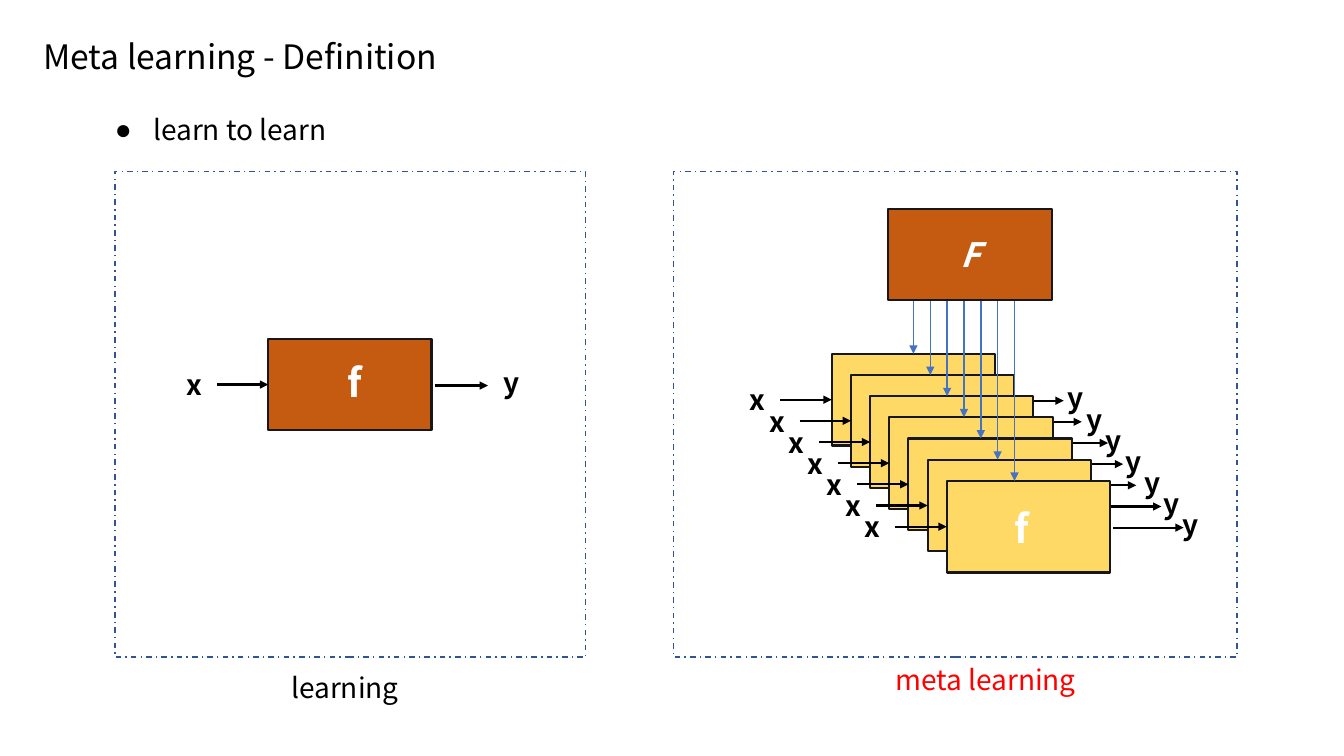
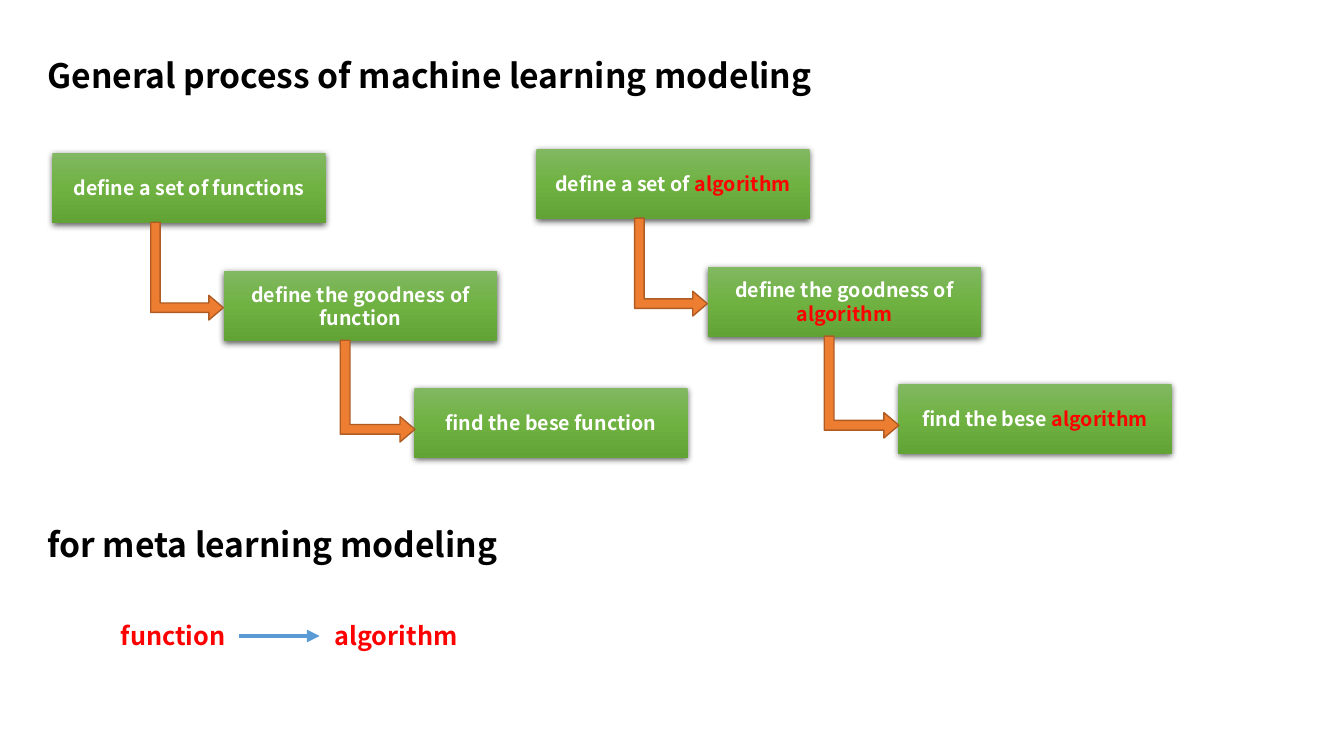
from dataclasses import dataclass

from pptx import Presentation
from pptx.dml.color import RGBColor
from pptx.enum.dml import MSO_LINE as Dash
from pptx.enum.shapes import MSO_CONNECTOR as Link, MSO_SHAPE as Form
from pptx.enum.text import MSO_ANCHOR as Anchor, MSO_AUTO_SIZE as Auto, PP_ALIGN as Align
from pptx.oxml import parse_xml
from pptx.oxml.ns import nsdecls, qn
from pptx.util import Inches, Pt

CELL = Inches(0.1)
SANS, MATH = "Noto Sans CJK SC", "Noto Sans CJK KR"
BLACK, WHITE, RED = "000000", "FFFFFF", "FF0000"
RUST, GOLD, EDGE = "C55A11", "FFD966", "181717"
BLUE, SKY, NAVY = "4472C4", "5B9BD5", "325491"
AMBER, BROWN = "ED7D31", "AF5C24"
GREENS = ((0, "81B861"), (50, "6FB242"), (100, "62A336"))
BOX_W, BOX_H = 16.2, 9.1
STEP_W, STEP_H = 27.1, 6.9


@dataclass(frozen=True)
class Area:
    col: float
    row: float
    wide: float
    high: float

    def emu(self) -> list[int]:
        return [grid(n) for n in (self.col, self.row, self.wide, self.high)]


@dataclass(frozen=True)
class Style:
    size: float
    color: str = BLACK
    bold: bool = False
    italic: bool = False
    font: str = SANS
    align: Align = Align.LEFT


@dataclass(frozen=True)
class Model:
    col: float
    row: float
    fill: str
    end: float


@dataclass(frozen=True)
class Step:
    col: float
    row: float
    head: str
    tail: str


@dataclass(frozen=True)
class Flow:
    col: float
    row: float
    word: str
    tint: str


HEAD = Style(24, bold=True)
PLAIN = Style(20)
SIGN = Style(20, bold=True)
MARK = Style(28, WHITE, True)
TERM = Style(18, RED, True)
NOTE = Style(14, WHITE, True, align=Align.CENTER)
ENDS = (105.5, 107.3, 109.9, 111.4, 112.7, 115.2, 117.4)
STACK = [Model(82.5 + 1.9 * i, 35.1 + 2.1 * i, GOLD, end) for i, end in enumerate(ENDS)]
SOLO = Model(26.6, 33.6, RUST, 48.4)
STEPS = (
    Step(0, 0, "define a set of ", "s"),
    Step(17, 11.7, "define the goodness of ", ""),
    Step(35.9, 23.3, "find the bese ", ""),
)
BENDS = (Area(8.5, 8.1, 9.7, 7.2), Area(27.2, 19.9, 10.1, 7.4))
FLOWS = (Flow(5.2, 15.2, "function", WHITE), Flow(53.2, 14.8, "algorithm", RED))


def grid(n: float) -> int:
    return round(n * CELL)


def rgb(code: str) -> RGBColor:
    return RGBColor.from_string(code)


def paint(run, style: Style, color: str = "") -> None:
    font = run.font
    font.name, font.size = style.font, Pt(style.size)
    font.bold, font.italic = style.bold, style.italic
    font.color.rgb = rgb(color or style.color)


def write(shape, text: str, style: Style, anchor: Anchor = Anchor.TOP):
    frame = shape.text_frame
    frame.text = text
    frame.word_wrap = True
    frame.auto_size = Auto.NONE
    frame.vertical_anchor = anchor
    para = frame.paragraphs[0]
    para.alignment = style.align
    para.line_spacing = Pt(style.size * 1.2)
    para.space_before = Pt(0)
    for run in para.runs:
        paint(run, style)
    return para


def place(holder, area: Area) -> None:
    holder.left, holder.top, holder.width, holder.height = area.emu()


def title(slide, text: str, area: Area, style: Style) -> None:
    place(slide.shapes.title, area)
    write(slide.shapes.title, text, style, Anchor.MIDDLE)


def label(slide, text: str, area: Area, style: Style) -> None:
    write(slide.shapes.add_textbox(*area.emu()), text, style)


def block(slide, area: Area, fill: str = "", line: str = "", width: float = 1.5, form: Form = Form.RECTANGLE):
    shape = slide.shapes.add_shape(form, *area.emu())
    shape.shadow.inherit = False
    if fill:
        shape.fill.solid()
        shape.fill.fore_color.rgb = rgb(fill)
    else:
        shape.fill.background()
    if line:
        shape.line.color.rgb = rgb(line)
        shape.line.width = Pt(width)
    else:
        shape.line.fill.background()
    return shape


def arrow(slide, x: float, y: float, to_x: float, to_y: float, color: str = BLACK, width: float = 1.5) -> None:
    link = slide.shapes.add_connector(Link.STRAIGHT, grid(x), grid(y), grid(to_x), grid(to_y))
    link.line.color.rgb = rgb(color)
    link.line.width = Pt(width)
    line = link.line._get_or_add_ln()
    line.append(parse_xml(f'<a:tailEnd {nsdecls("a")} type="triangle"/>'))
    link._element.spPr.append(parse_xml(f'<a:effectLst {nsdecls("a")}/>'))


def bullet(para) -> None:
    props = para._p.get_or_add_pPr()
    props.set("marL", str(grid(3.8)))
    props.set("indent", str(-grid(3.8)))
    props.append(parse_xml(f'<a:buFont {nsdecls("a")} typeface="Arial"/>'))
    props.append(parse_xml(f'<a:buChar {nsdecls("a")} char="●"/>'))


def gloss(shape) -> None:
    stops = "".join(
        f'<a:gs pos="{pos * 1000}"><a:srgbClr val="{rgb(code)}"/></a:gs>' for pos, code in GREENS
    )
    grad = parse_xml(
        f'<a:gradFill {nsdecls("a")} rotWithShape="1"><a:gsLst>{stops}</a:gsLst>'
        '<a:lin ang="5400000" scaled="0"/></a:gradFill>'
    )
    props = shape._element.spPr
    props.replace(props.find(qn("a:solidFill")), grad)
    props.find(qn("a:effectLst")).append(parse_xml(
        f'<a:outerShdw {nsdecls("a")} blurRad="{Pt(4.5)}" dist="{Pt(1.5)}" dir="5400000" '
        f'algn="ctr" rotWithShape="0"><a:srgbClr val="{rgb(BLACK)}">'
        '<a:alpha val="63000"/></a:srgbClr></a:outerShdw>'
    ))


def panel(slide, area: Area) -> None:
    block(slide, area, line=NAVY, width=1).line.dash_style = Dash.DASH_DOT


def model(slide, item: Model) -> None:
    x, y = item.col, item.row
    mid = y + BOX_H / 2
    block(slide, Area(x, y, BOX_W, BOX_H), item.fill, EDGE)
    label(slide, "x", Area(x - 9.1, y + 2.4, 4, 4.4), SIGN)
    label(slide, "y", Area(x + 22.4, y + 2.2, 3.6, 4.4), SIGN)
    arrow(slide, x - 5.1, mid, x, mid)
    arrow(slide, x + 16.5, mid + 0.1, item.end, mid + 0.1)


def flow(slide, item: Flow) -> None:
    for step in STEPS:
        shape = block(slide, Area(item.col + step.col, item.row + step.row, STEP_W, STEP_H), GREENS[1][1])
        gloss(shape)
        para = write(shape, step.head, NOTE, Anchor.MIDDLE)
        run = para.add_run()
        run.text = item.word + (step.tail if item.tint == WHITE else "")
        paint(run, NOTE, item.tint)
    for bend in BENDS:
        area = Area(item.col + bend.col, item.row + bend.row, bend.wide, bend.high)
        shape = block(slide, area, AMBER, BROWN, 1, Form.BENT_UP_ARROW)
        shape.rotation = 90
        for i, share in enumerate((0.13, 0.17, 0.2)):
            shape.adjustments[i] = share


def define(deck) -> None:
    slide = deck.slides.add_slide(deck.slide_layouts[1])
    title(slide, "Meta learning - Definition", Area(3.3, 1.7, 58.2, 7.8), Style(24))
    body = slide.placeholders[1]
    place(body, Area(10.4, 10.7, 30.1, 4.4))
    bullet(write(body, "learn to learn", PLAIN))
    panel(slide, Area(11.4, 17, 46.7, 48.2))
    panel(slide, Area(66.8, 17, 55.9, 48.2))
    model(slide, SOLO)
    label(slide, "f", Area(33.5, 35.1, 4, 5.7), MARK)
    top = block(slide, Area(88.1, 20.7, BOX_W, BOX_H), RUST, EDGE)
    write(top, "F", Style(24, WHITE, True, True, MATH, Align.CENTER), Anchor.MIDDLE)
    for item in STACK:
        model(slide, item)
    label(slide, "f", Area(99.6, 49.5, 4, 5.7), MARK)
    for i, item in enumerate(STACK):
        x = 90.6 + 1.67 * i
        arrow(slide, x, 29.9, x, item.row, BLUE, 1)
    label(slide, "learning", Area(27.9, 66, 16.2, 4.4), PLAIN)
    label(slide, "meta learning", Area(87.8, 65.2, 30.1, 4.4), Style(20, RED))


def process(deck) -> None:
    slide = deck.slides.add_slide(deck.slide_layouts[5])
    title(slide, "General process of machine learning modeling", Area(3.7, 4.9, 81.6, 5), HEAD)
    for item in FLOWS:
        flow(slide, item)
    label(slide, "for meta learning modeling", Area(3.7, 51.5, 49.9, 5), HEAD)
    label(slide, "function", Area(11, 61, 14, 4), TERM)
    label(slide, "algorithm", Area(32.2, 61.1, 17.1, 4), TERM)
    arrow(slide, 23.7, 63.1, 31.7, 63.1, SKY, 3)


def main() -> None:
    deck = Presentation()
    deck.slide_width, deck.slide_height = Inches(13.33), Inches(7.5)
    define(deck)
    process(deck)
    deck.save("out.pptx")


if __name__ == "__main__":
    main()
